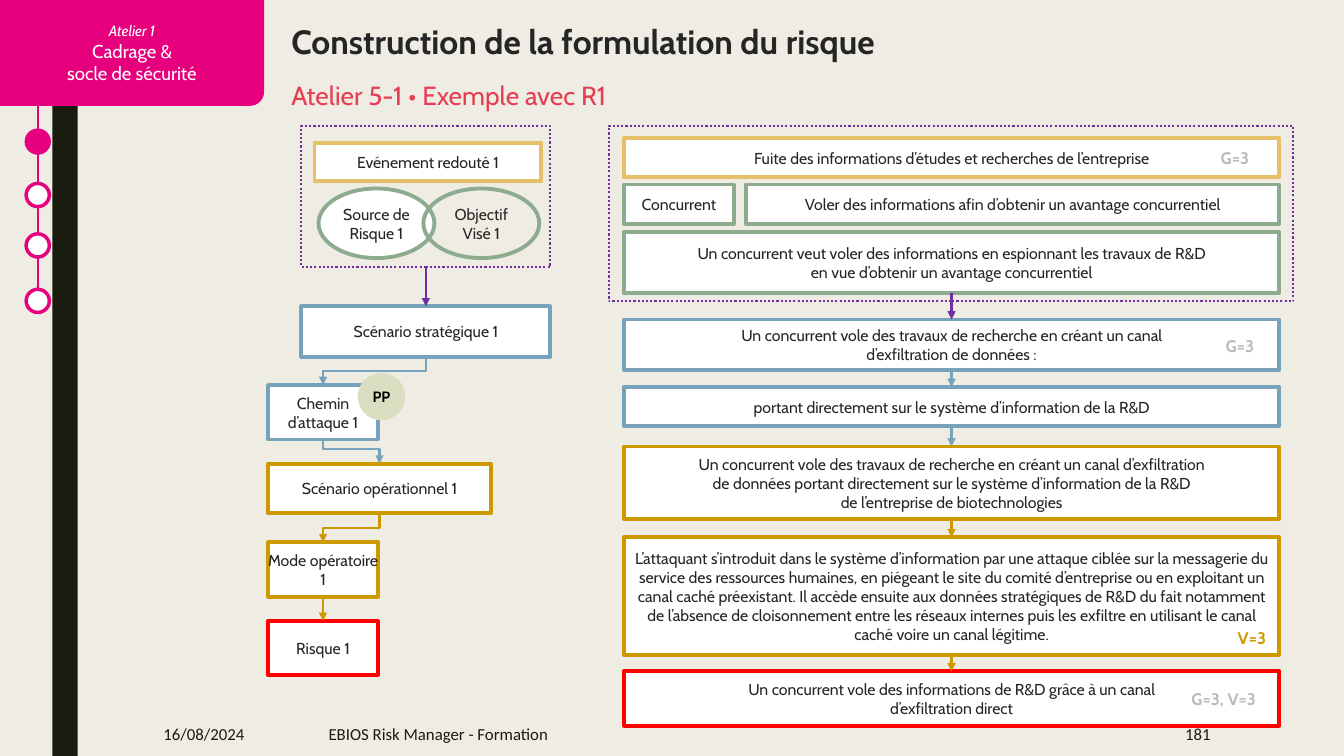
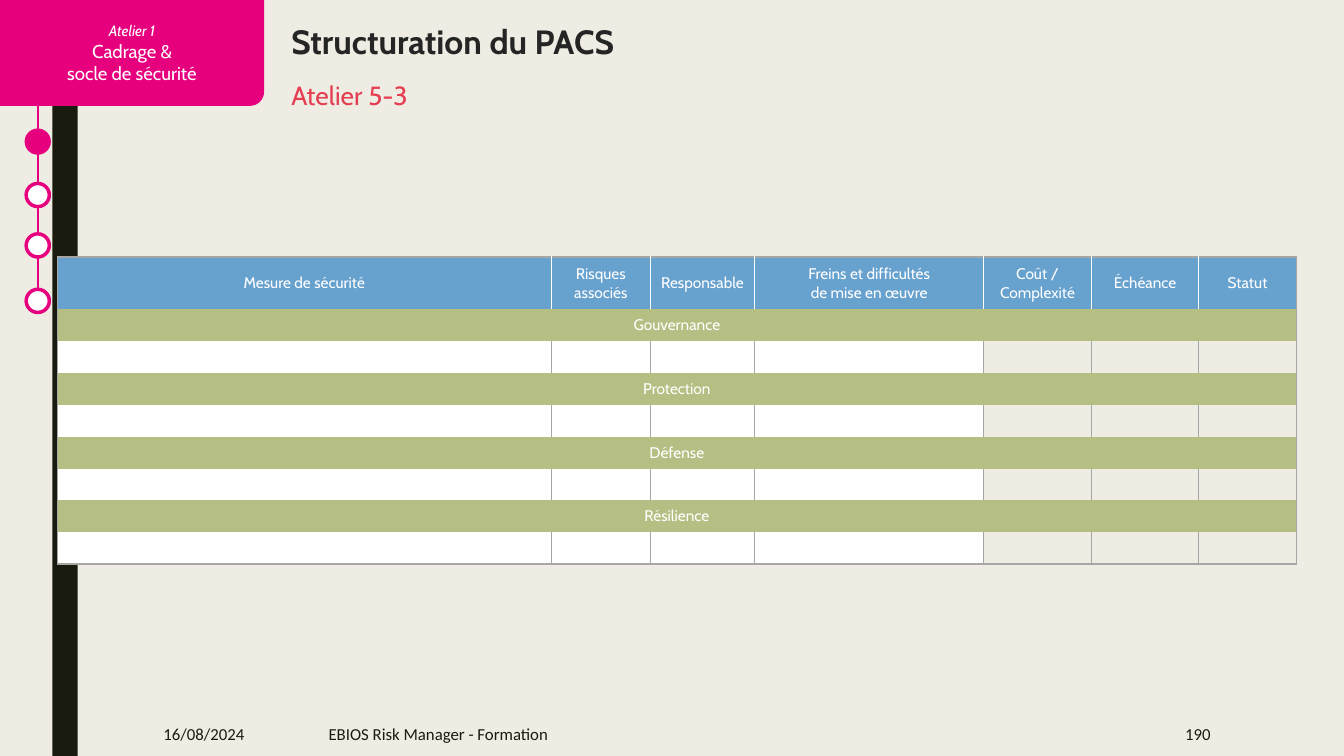
from math import cos, pi, sin

from lxml.etree import SubElement
from pptx import Presentation
from pptx.dml.color import RGBColor
from pptx.enum.dml import MSO_LINE
from pptx.enum.shapes import MSO_CONNECTOR, MSO_SHAPE
from pptx.enum.text import MSO_ANCHOR, PP_ALIGN
from pptx.oxml.ns import qn
from pptx.util import Inches, Pt

COLORS = {
    "paper": "EFEDE3", "ink": "191B0E", "text": "252525", "white": "FFFFFF",
    "black": "000000", "pink": "E6007E", "red": "E53D51", "risk": "FF0000",
    "green": "8DAB8E", "blue": "77A2BB", "gold": "CC9900", "sand": "E6C069",
    "purple": "7030A0", "sage": "DADFC1", "muted": "BABBB6",
    "head": "67A1CE", "band": "B6BF83", "rule": "A6A6A6",
}
ALIGN = {"l": PP_ALIGN.LEFT, "c": PP_ALIGN.CENTER, "r": PP_ALIGN.RIGHT}


def u(n):
    """Grid units to EMU: the slide is 160 columns by 90 rows."""
    return Inches(n / 12)


def rgb(name):
    return RGBColor.from_string(COLORS[name])


def write(tf, text, size=11.3, color="text", align="c", font="Cabin",
          bold=False, italic=False, anchor=MSO_ANCHOR.MIDDLE, pad=0):
    """Append a paragraph; a newline in the text is a line break."""
    tf.word_wrap = True
    tf.vertical_anchor = anchor
    tf.margin_left = tf.margin_right = u(pad)
    tf.margin_top = tf.margin_bottom = 0
    p = tf.paragraphs[0]
    if p.runs:
        p = tf.add_paragraph()
    p.alignment = ALIGN[align]
    for i, line in enumerate(text.split("\n")):
        if i:
            p.add_line_break()
        r = p.add_run()
        r.text = line
        f = r.font
        f.name, f.size, f.bold, f.italic = font, Pt(size), bold, italic
        f.color.rgb = rgb(color)


class Deck:
    def __init__(self):
        self.prs = Presentation()
        self.prs.slide_width, self.prs.slide_height = u(160), u(90)
        self.s = None

    def style(self, sp, fill=None, line=None, width=2.75):
        sp.shadow.inherit = False
        if fill:
            sp.fill.solid()
            sp.fill.fore_color.rgb = rgb(fill)
        else:
            sp.fill.background()
        if line:
            sp.line.color.rgb = rgb(line)
            sp.line.width = Pt(width)
        else:
            sp.line.fill.background()
        return sp

    def shape(self, x, y, w, h, text="", fill="white", line=None, width=2.75,
              kind=MSO_SHAPE.RECTANGLE, **fmt):
        sp = self.s.shapes.add_shape(kind, u(x), u(y), u(w), u(h))
        self.style(sp, fill, line, width)
        if text:
            write(sp.text_frame, text, **fmt)
        return sp

    def oval(self, x, y, w, h, text="", **fmt):
        return self.shape(x, y, w, h, text, kind=MSO_SHAPE.OVAL, **fmt)

    def frame(self, x, y, w, h):
        sp = self.shape(x, y, w, h, fill=None, line="purple", width=1.5)
        sp.line.dash_style = MSO_LINE.ROUND_DOT
        return sp

    def label(self, x, y, w, h, text, **fmt):
        tb = self.s.shapes.add_textbox(u(x), u(y), u(w), u(h))
        write(tb.text_frame, text, **fmt)

    def connector(self, kind, ends, color, width=1.5, arrow=True):
        c = self.s.shapes.add_connector(kind, *ends)
        c.line.color.rgb = rgb(color)
        c.line.width = Pt(width)
        spPr = c.element.spPr
        if arrow:
            SubElement(spPr.find(qn("a:ln")), qn("a:tailEnd"), type="triangle")
        SubElement(spPr, qn("a:effectLst"))
        return c

    def arrow(self, a, b, color):
        """Straight arrow from the bottom of a to the top of b."""
        x = a.left + a.width // 2
        c = self.connector(MSO_CONNECTOR.STRAIGHT,
                           (x, a.top + a.height, x, b.top), color)
        c.begin_connect(a, 2)
        c.end_connect(b, 0)

    def elbow(self, a, b, color, bend=0.5):
        """Down, across and down: a horizontal elbow turned a quarter."""
        x1, y1 = a.left + a.width // 2, a.top + a.height
        x2, y2 = b.left + b.width // 2, b.top
        cx, cy = (x1 + x2) // 2, (y1 + y2) // 2
        w, h = (y2 - y1) // 2, abs(x2 - x1) // 2
        right = x2 > x1
        if right:
            w = -w
        c = self.connector(MSO_CONNECTOR.ELBOW,
                           (cx - w, cy - h, cx + w, cy + h), color)
        spPr = c.element.spPr
        spPr.find(qn("a:xfrm")).set("rot", str((270 if right else 90) * 60000))
        geom = spPr.find(qn("a:prstGeom"))
        av = geom.find(qn("a:avLst"))
        if av is None:
            av = SubElement(geom, qn("a:avLst"))
        SubElement(av, qn("a:gd"), name="adj1", fmla=f"val {round(bend * 100000)}")

    def ribbon(self, w, h, radius):
        arc = [(w - radius + radius * cos(i * pi / 24),
                h - radius + radius * sin(i * pi / 24)) for i in range(13)]
        fb = self.s.shapes.build_freeform(0, 0, scale=1.0)
        fb.add_line_segments([(u(x), u(y)) for x, y in [(w, 0), *arc, (0, h)]])
        sp = self.style(fb.convert_to_shape(), "pink")
        tf = sp.text_frame
        write(tf, "Atelier 1", size=10.7, color="white", italic=True)
        for line in ("Cadrage &", "socle de sécurité"):
            write(tf, line, size=13.3, color="white")

    def slide(self, title, subtitle, number):
        self.s = self.prs.slides.add_slide(self.prs.slide_layouts[6])
        bg = self.s.background.fill
        bg.solid()
        bg.fore_color.rgb = rgb("paper")
        self.shape(6.24, 0, 3, 90, fill="ink")
        self.connector(MSO_CONNECTOR.STRAIGHT,
                       (u(4.5), u(10.68), u(4.5), u(37.2)), "pink", 1.25, False)
        for i, y in enumerate((15.48, 21.84, 27.84, 34.44)):
            self.oval(3.12, y, 2.76, 2.76, fill="white" if i else "pink",
                      line="pink", width=2.5 if i else 2.25)
        self.ribbon(31.44, 12.6, 1.68)
        top = dict(align="l", anchor=MSO_ANCHOR.TOP)
        self.label(34.68, 2.5, 119.6, 4.8, title, size=24, bold=True, **top)
        self.label(34.68, 9.48, 112.7, 3.7, subtitle, size=18.7, color="red", **top)
        for x, w, text, align in ((18.24, 15.84, "16/08/2024", "l"),
                                  (37.92, 82.44, "EBIOS Risk Manager - Formation", "l"),
                                  (124.32, 21, number, "r")):
            self.label(x, 84.72, w, 5.28, text, size=12, color="ink",
                       font="Calibri", align=align, pad=1.2)

    def cell(self, cell, text="", fill=None, **borders):
        tcPr = cell._tc.get_or_add_tcPr()
        for side in "LRTB":
            color = borders.get(side)
            ln = SubElement(tcPr, qn("a:ln" + side), w=str(Pt(1)))
            if color:
                sf = SubElement(ln, qn("a:solidFill"))
                SubElement(sf, qn("a:srgbClr"), val=COLORS[color])
            else:
                SubElement(ln, qn("a:noFill"))
        if fill:
            cell.fill.solid()
            cell.fill.fore_color.rgb = rgb(fill)
        else:
            cell.fill.background()
        cell.margin_left = cell.margin_right = 0
        cell.margin_top = cell.margin_bottom = 0
        cell.vertical_anchor = MSO_ANCHOR.MIDDLE
        if text:
            write(cell.text_frame, text, size=11, color="white")
        else:
            cell.text_frame.paragraphs[0].font.size = Pt(11)

    def table(self, x, y, widths, heads, bands, head_h, row_h, filled):
        n, last = len(heads), len(heads) - 1
        rows = 1 + 2 * len(bands)
        t = self.s.shapes.add_table(rows, n, u(x), u(y), u(sum(widths)),
                                    u(head_h + row_h * (rows - 1))).table
        t.first_row = t.horz_banding = False
        for col, w in zip(t.columns, widths):
            col.width = u(w)
        for i, row in enumerate(t.rows):
            row.height = u(row_h if i else head_h)
        for j, head in enumerate(heads):
            self.cell(t.cell(0, j), head, "head", T="rule",
                      L="white" if j else "rule",
                      R="white" if j < last else "rule")
        for i, band in enumerate(bands):
            r = 1 + 2 * i
            t.cell(r, 0).merge(t.cell(r, last))
            self.cell(t.cell(r, 0), band, "band", L="rule", R="rule")
            for j in range(n):
                self.cell(t.cell(r + 1, j), fill="white" if j < filled else None,
                          L="rule", R="rule", B="rule" if r + 2 == rows else None)


def risk_slide(d):
    d.slide("Construction de la formulation du risque",
            "Atelier 5-1 • Exemple avec R1", "181")

    # Left: chain of concepts, one step every 9.36 rows
    d.oval(37.92, 22.44, 13.8, 8.28, "Source de Risque 1", line="green")
    d.oval(50.4, 22.44, 13.8, 8.28, "Objectif Visé 1", fill=None, line="green")
    d.shape(37.44, 17.04, 27, 4.56, "Evénement redouté 1", line="sand")
    chain = [d.frame(35.88, 15, 29.64, 16.8)]
    for i, (x, w, h, text, line) in enumerate((
            (35.88, 29.64, 6, "Scénario stratégique 1", "blue"),
            (31.92, 13.08, 6.48, "Chemin d’attaque 1", "blue"),
            (31.92, 26.52, 5.88, "Scénario opérationnel 1", "gold"),
            (31.92, 13.08, 6.48, "Mode opératoire 1", "gold"),
            (31.92, 13.08, 6.48, "Risque 1", "risk"))):
        chain.append(d.shape(x, 36.48 + 9.36 * i, w, h, text, line=line))
    origin, strategic, attack, operational, mode, risk = chain
    d.arrow(origin, strategic, "purple")
    d.elbow(strategic, attack, "blue")
    d.elbow(attack, operational, "blue", 0.39)
    d.elbow(operational, mode, "gold")
    d.arrow(mode, risk, "gold")
    d.oval(42.6, 44.4, 5.64, 5.64, "PP", fill="sage", size=10.7,
           color="black", bold=True)

    # Right: the worked example
    x, w = 74.28, 78
    d.frame(72.48, 15, 81.48, 20.88)
    d.shape(x, 16.44, w, 4.68, "Fuite des informations d’études et recherches "
            "de l’entreprise", line="sand", pad=1.2)
    d.shape(x, 21.96, 13.08, 4.68, "Concurrent", line="green")
    d.shape(88.8, 21.96, x + w - 88.8, 4.68, "Voler des informations afin d’obtenir "
            "un avantage concurrentiel", line="green", pad=1.2)
    steps = [d.shape(x, y, w, h, text, line=line, pad=1.2) for y, h, line, text in (
        (27.6, 7.32, "green", "Un concurrent veut voler des informations en "
         "espionnant les travaux de R&D\nen vue d’obtenir un avantage concurrentiel"),
        (38.04, 6, "blue", "Un concurrent vole des travaux de recherche en créant "
         "un canal\nd’exfiltration de données :"),
        (46.08, 4.68, "blue", "portant directement sur le système d’information de la R&D"),
        (53.16, 8.64, "gold", "Un concurrent vole des travaux de recherche en créant "
         "un canal d’exfiltration\nde données portant directement sur le système "
         "d’information de la R&D\nde l’entreprise de biotechnologies"),
        (63.96, 14.04, "gold", "L’attaquant s’introduit dans le système d’information "
         "par une attaque ciblée sur la messagerie du service des ressources humaines, "
         "en piégeant le site du comité d’entreprise ou en exploitant un canal caché "
         "préexistant. Il accède ensuite aux données stratégiques de R&D du fait "
         "notamment de l’absence de cloisonnement entre les réseaux internes puis les "
         "exfiltre en utilisant le canal caché voire un canal légitime."),
        (79.92, 6.48, "risk", "Un concurrent vole des informations de R&D grâce à "
         "un canal\nd’exfiltration direct"))]
    for a, b, color in zip(steps, steps[1:], ("purple", "blue", "blue", "gold", "gold")):
        d.arrow(a, b, color)
    for lx, y, lw, h, text, color, align in (
            (145.32, 16.44, 6.96, 4.8, "G=3", "muted", "l"),
            (145.92, 38.16, 6.48, 6, "G=3", "muted", "l"),
            (145.8, 73.92, 6.48, 3.96, "V=3", "gold", "c"),
            (141.84, 79.92, 10.44, 6.48, "G=3, V=3", "muted", "l")):
        d.label(lx, y, lw, h, text, size=12, bold=True, color=color, align=align)


def plan_slide(d):
    d.slide("Structuration du PACS", "Atelier 5-3", "190")
    d.table(6.84, 30.6, (58.8, 11.8, 12.4, 27.3, 12.8, 12.8, 11.6),
            ("Mesure de sécurité", "Risques associés", "Responsable",
             "Freins et difficultés\nde mise en œuvre", "Coût / Complexité",
             "Échéance", "Statut"),
            ("Gouvernance", "Protection", "Défense", "Résilience"),
            head_h=6.24, row_h=3.79, filled=4)


def main():
    d = Deck()
    risk_slide(d)
    plan_slide(d)
    d.prs.save("out.pptx")


if __name__ == "__main__":
    main()
